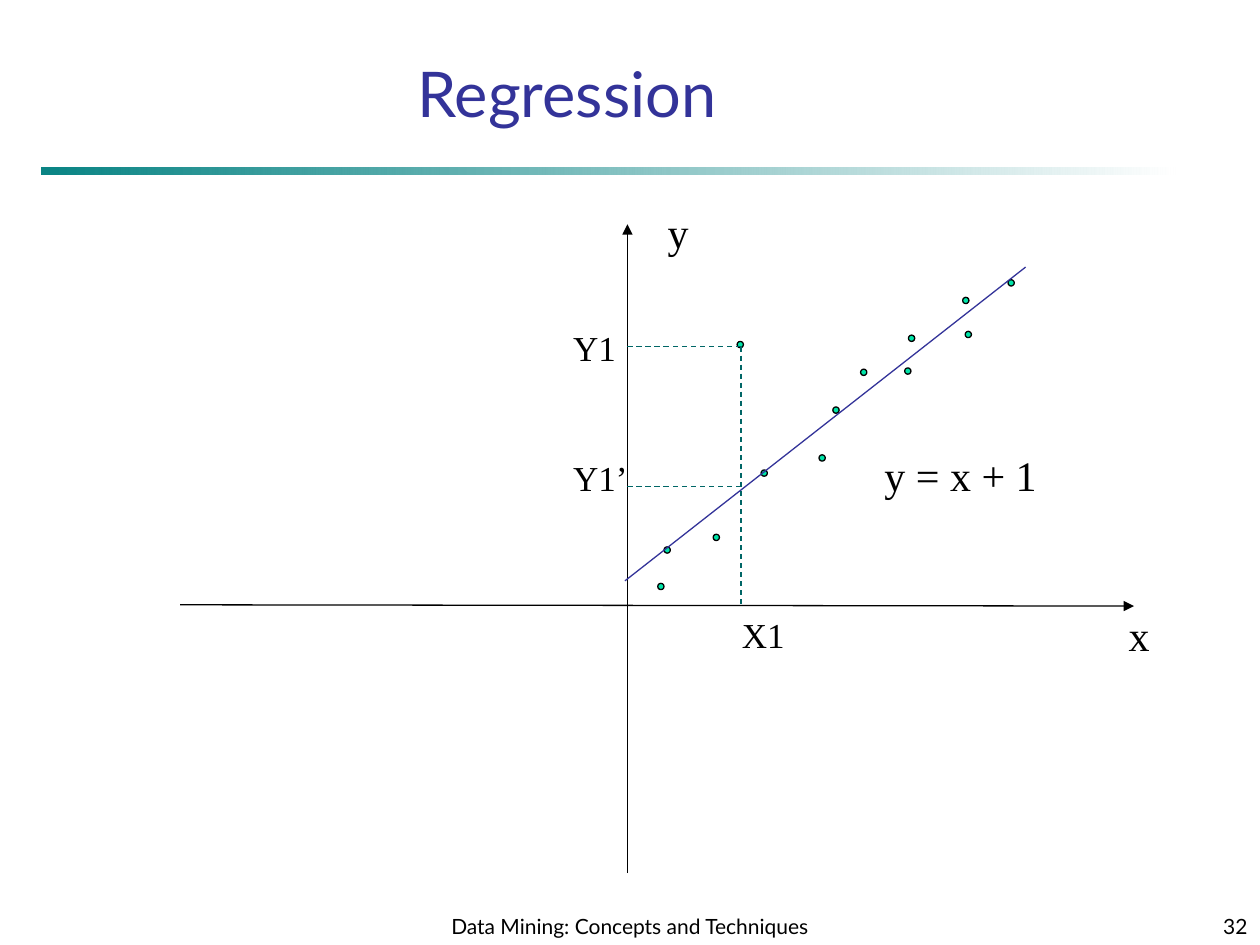
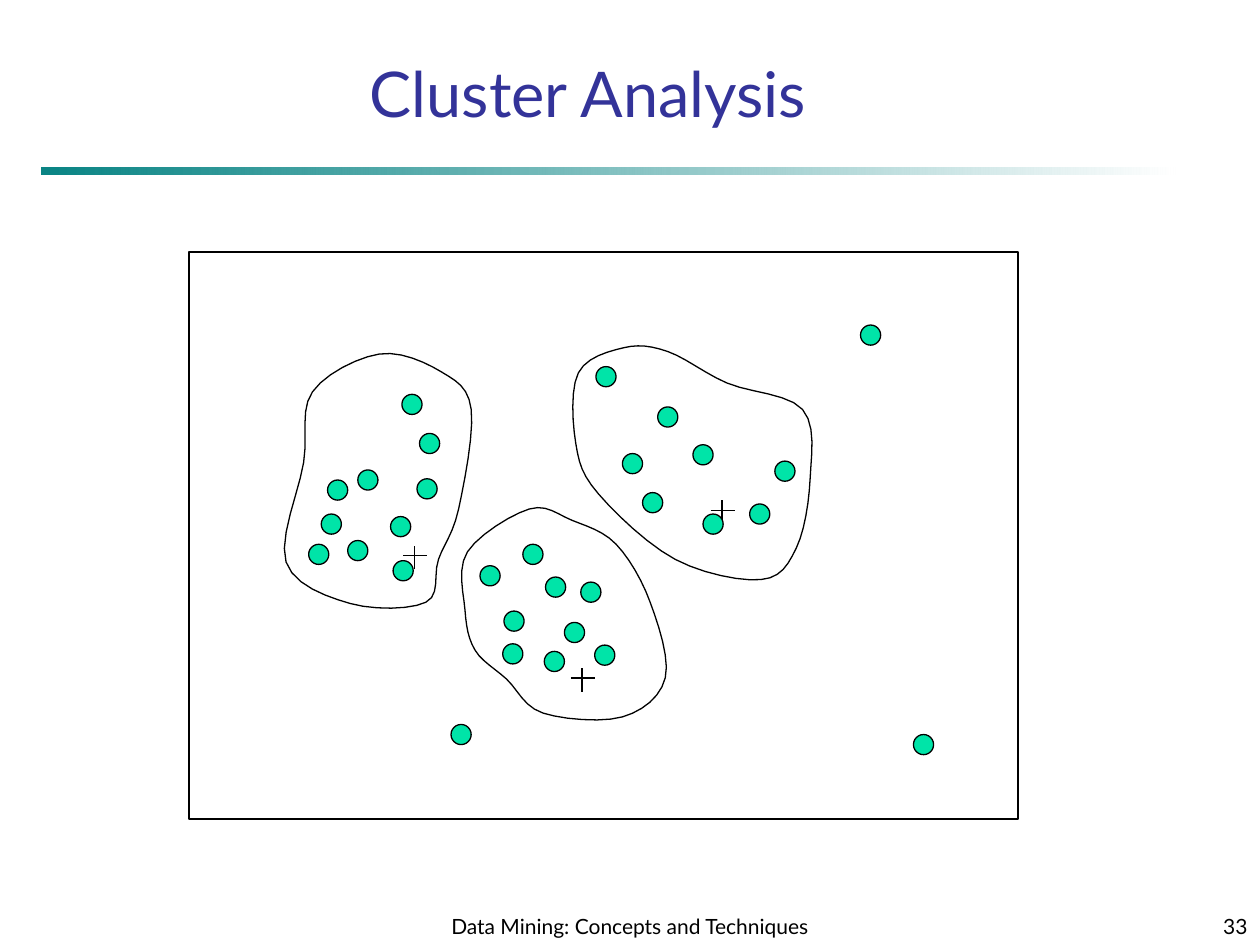
from lxml import etree
from pptx import Presentation
from pptx.dml.color import RGBColor
from pptx.enum import dml, shapes, text
from pptx.oxml import ns
from pptx.util import Pt

# Shared look
BLACK = RGBColor(0, 0, 0)
WHITE = RGBColor(255, 255, 255)
TEAL = RGBColor(0x00, 0x80, 0x80)
GUIDE = RGBColor(0x00, 0x66, 0x66)
INDIGO = RGBColor(0x33, 0x33, 0x99)
MINT = RGBColor(0x00, 0xE4, 0xA8)
SANS, SERIF = "Lato", "Times New Roman"
FOOTER = "Data Mining: Concepts and Techniques"
HAIRLINE = Pt(0.75)
GRID = 0.72  # points per unit of the drawing grid
CURVE_STEPS = 6

# Regression: plot content, in grid units
REGRESSION = {"title": "Regression", "left": 72, "width": 504, "number": "32"}
AXES = [(143, 480, 900, 481), (498, 693, 498, 178)]
FIT_LINE = (496, 461, 814, 212)
X1, Y1, Y1_FITTED = 588, 275, 386
GUIDES = [(X1, Y1, X1, 482), (X1, Y1, 498, Y1), (X1, Y1_FITTED, 498, Y1_FITTED)]
SAMPLES = [(650, 361), (604, 373), (585, 271), (566, 424), (661, 323),
           (683, 293), (527, 434), (718, 292), (721, 266), (766, 263),
           (522, 463), (764, 236), (800, 222)]
SAMPLE_SIZE = 5
LABELS = {  # size: (height, wording with left, top, width)
    24: (50, [("x", 886, 479, 36), ("y", 520, 159, 36), ("y = x + 1", 692, 352, 141)]),
    20: (44, [("X1", 579, 482, 54), ("Y1", 445, 254, 54), ("Y1’", 445, 357, 63)]),
}

# Cluster analysis: each cluster has its centre, members and outline
CLUSTERS = {"title": "Cluster Analysis", "left": 120, "width": 432, "number": "33"}
FRAME = (150, 200, 658, 450)
OUTLIERS = [(725, 583), (358, 575), (683, 258)]
DOT_SIZE = 16
GROUPS = [
    {"centre": (329, 441),
     "members": [(276, 429), (255, 408), (310, 410), (284, 373), (245, 432),
                 (260, 381), (312, 445), (331, 380), (333, 344), (319, 313)],
     "outline": [(301, 281), (350, 295), (374, 325), (364, 404), (348, 444),
                 (338, 478), (278, 479), (227, 446), (241, 367), (248, 311)]},
    {"centre": (573, 405),
     "members": [(522, 323), (510, 391), (550, 353), (494, 360), (615, 366),
                 (595, 400), (558, 408), (473, 291)],
     "outline": [(495, 276), (530, 279), (577, 304), (637, 325), (643, 380),
                 (632, 435), (604, 460), (536, 444), (475, 392), (457, 352),
                 (459, 296)]},
    {"centre": (462, 538),
     "members": [(381, 449), (461, 462), (432, 517), (448, 494), (400, 485),
                 (399, 511), (415, 432), (433, 458), (472, 512)],
     "outline": [(420, 404), (454, 413), (489, 432), (516, 478), (528, 538),
                 (494, 569), (431, 566), (402, 539), (377, 516), (369, 484),
                 (371, 438)]},
]


def grid(*units):
    return [Pt(unit * GRID) for unit in units]


def style_outline(shape, fill=None):
    shape.shadow.inherit = False
    if fill is None:
        shape.fill.background()
    else:
        shape.fill.solid()
        shape.fill.fore_color.rgb = fill
    shape.line.color.rgb = BLACK
    shape.line.width = HAIRLINE


def add_text(page, words, place, size, font=SANS, color=BLACK,
             align=text.PP_ALIGN.LEFT, anchor=text.MSO_ANCHOR.TOP, wrap=True):
    box = page.shapes.add_textbox(*place)
    frame = box.text_frame
    frame.word_wrap = wrap
    frame.vertical_anchor = anchor
    para = frame.paragraphs[0]
    para.text = words
    para.alignment = align
    para.font.name = font
    para.font.size = Pt(size)
    para.font.color.rgb = color


def add_line(page, ends, color=BLACK, arrow=False, dashed=False):
    line = page.shapes.add_connector(shapes.MSO_CONNECTOR.STRAIGHT, *grid(*ends))
    line.line.color.rgb = color
    line.line.width = HAIRLINE
    if dashed:
        line.line.dash_style = dml.MSO_LINE.DASH
    if arrow:
        etree.SubElement(line.line._get_or_add_ln(), ns.qn("a:tailEnd"), type="triangle")
    etree.SubElement(line._element.spPr, ns.qn("a:effectLst"))


def add_dots(page, kind, corners, size):
    for left, top in corners:
        style_outline(page.shapes.add_shape(kind, *grid(left, top, size, size)), MINT)


def smooth_loop(corners):
    """Points of a smooth closed curve through the corners, in slide units."""
    points = []
    for index in range(len(corners)):
        near = [corners[(index + offset) % len(corners)] for offset in (-1, 0, 1, 2)]
        for step in range(CURVE_STEPS):
            t = step / CURVE_STEPS
            points.append(grid(*(
                b + t * (c - a + t * (2 * a - 5 * b + 4 * c - d
                                      + t * (3 * b - a - 3 * c + d))) / 2
                for a, b, c, d in zip(*near))))
    return points


def add_page(deck, content):
    """Start a page with its band, footer, number and title."""
    page = deck.slides.add_slide(deck.slide_layouts[6])
    band = page.shapes.add_shape(shapes.MSO_SHAPE.RECTANGLE,
                                 Pt(24), Pt(96), Pt(648), Pt(3.9))
    band.shadow.inherit = False
    band.line.fill.background()
    band.fill.gradient()
    band.fill.gradient_angle = 0
    for stop, color, position in zip(band.fill.gradient_stops, (TEAL, WHITE), (0, 1)):
        stop.color.rgb = color
        stop.position = position
    teal_stop = band._element.spPr.find(".//" + ns.qn("a:srgbClr"))
    etree.SubElement(teal_stop, ns.qn("a:alpha"), val="96000")

    center, right = text.PP_ALIGN.CENTER, text.PP_ALIGN.RIGHT
    for words, left, top, width, height, size, color, align in (
            (FOOTER, 246, 510, 228, 30, 12, BLACK, center),
            (content["number"], 570, 510, 150, 30, 12, BLACK, right),
            (content["title"], content["left"], 30, content["width"], 48,
             36, INDIGO, center)):
        add_text(page, words, (Pt(left), Pt(top), Pt(width), Pt(height)), size,
                 color=color, align=align, anchor=text.MSO_ANCHOR.BOTTOM)
    return page


def build_regression(deck):
    page = add_page(deck, REGRESSION)
    for axis in AXES:
        add_line(page, axis, arrow=True)
    add_dots(page, shapes.MSO_SHAPE.OVAL, SAMPLES, SAMPLE_SIZE)
    add_line(page, FIT_LINE, INDIGO)
    for guide in GUIDES:
        add_line(page, guide, GUIDE, dashed=True)
    for size, (height, labels) in LABELS.items():
        for words, left, top, width in labels:
            add_text(page, words, grid(left, top, width, height), size, SERIF, wrap=False)


def build_clusters(deck):
    page = add_page(deck, CLUSTERS)
    style_outline(page.shapes.add_shape(shapes.MSO_SHAPE.RECTANGLE, *grid(*FRAME)))
    dot = shapes.MSO_SHAPE.FLOWCHART_CONNECTOR
    add_dots(page, dot, OUTLIERS, DOT_SIZE)
    for group in GROUPS:
        # Plus sign at the centre
        x, y = group["centre"]
        add_line(page, (x - 9, y, x + 10, y))
        add_line(page, (x, y + 11, x, y - 8))
        add_dots(page, dot, group["members"], DOT_SIZE)
        # Boundary of the cluster
        start, *others = smooth_loop(group["outline"])
        builder = page.shapes.build_freeform(*start)
        builder.add_line_segments(others, close=True)
        style_outline(builder.convert_to_shape())


def main():
    deck = Presentation()
    deck.slide_width, deck.slide_height = Pt(720), Pt(540)
    build_regression(deck)
    build_clusters(deck)
    deck.save("out.pptx")


if __name__ == "__main__":
    main()
